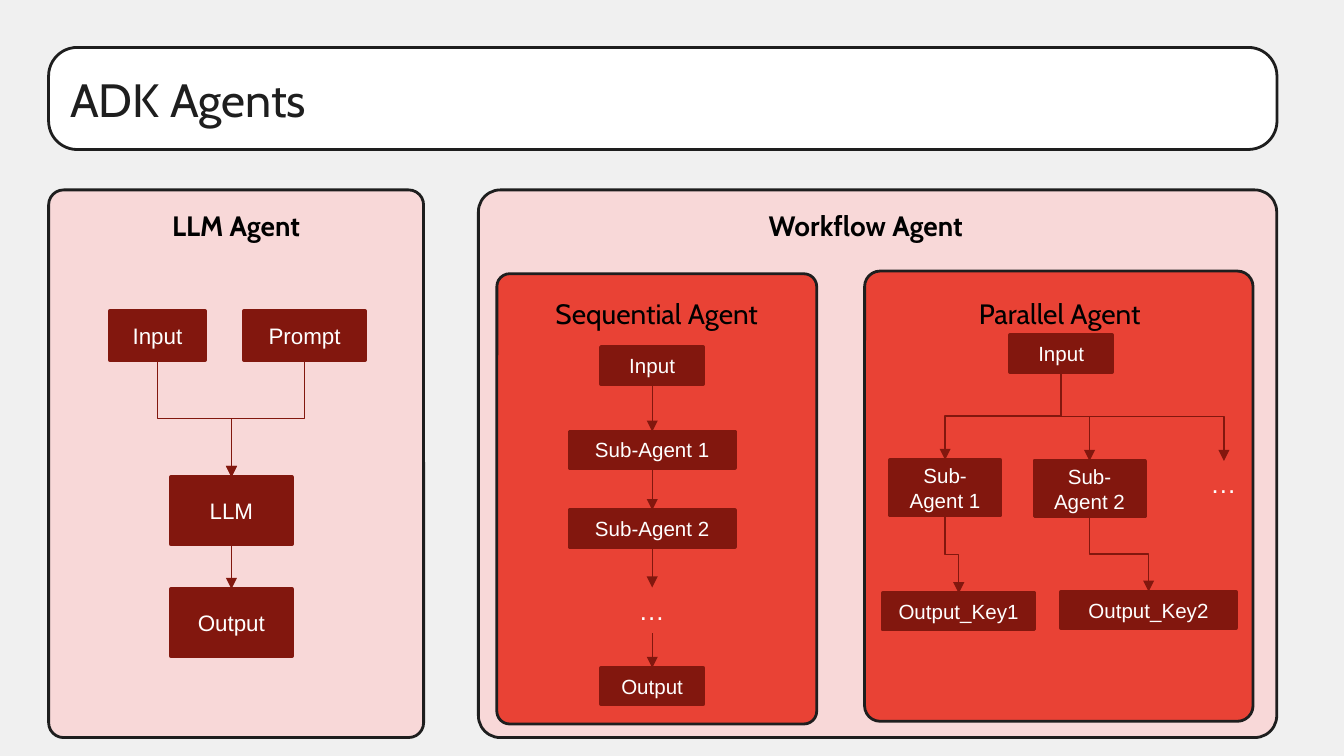
import pptx
import pptx.dml.color
import pptx.enum.shapes
import pptx.enum.text
import pptx.util
import pptx.oxml

SHAPES = pptx.enum.shapes.MSO_SHAPE
CONNECTORS = pptx.enum.shapes.MSO_CONNECTOR
ALIGN = pptx.enum.text.PP_ALIGN
ANCHOR = pptx.enum.text.MSO_ANCHOR

THEME = {
    "background": "F0F0F0",
    "arrow": "82170E",
    "arrow_width": 0.75,
    "title": dict(fill="FFFFFF", line="1E1E1E", width=1.5, corner=0.28,
                  font="Cabin", size=25, color="1E1E1E", align=ALIGN.LEFT, inset=1),
    "panel": dict(fill="F8D8D8", line="1E1E1E", width=1.5, corner=0.04),
    "subpanel": dict(fill="E94235", line="1E1E1E", width=1.5, corner=0.04),
    "heading": dict(font="Cabin", size=15, color="000000", bold=True, inset=1,
                    spacing=1.15, after=12),
    "subheading": dict(font="Cabin", size=15, color="000000", inset=1,
                       spacing=1.15, after=12),
    "step": dict(fill="82170E", line="82170E", width=2,
                 font="Arial", size=12, color="FFFFFF"),
    "substep": dict(fill="82170E", line="82170E", width=2,
                    font="Arial", size=11, color="FFFFFF"),
    "more": dict(font="Arial", size=14, color="FFFFFF", align=ALIGN.LEFT),
}

# The slide is a grid of 100 columns by 56.25 rows of square cells
CELL = pptx.util.Inches(0.1)
rgb = pptx.dml.color.RGBColor.from_string

deck = pptx.Presentation()
deck.slide_width = 100 * CELL
deck.slide_height = int(56.25 * CELL)
slide = deck.slides.add_slide(deck.slide_layouts[6])
slide.background.fill.solid()
slide.background.fill.fore_color.rgb = rgb(THEME["background"])


def add_block(style_name, center, top, columns, rows, text=""):
    """Place a box or a bare label, centred on a column."""
    style = THEME[style_name]
    frame = [int(n * CELL) for n in (center - columns / 2, top, columns, rows)]
    if "fill" in style:
        outline = SHAPES.ROUNDED_RECTANGLE if "corner" in style else SHAPES.RECTANGLE
        block = slide.shapes.add_shape(outline, *frame)
        block.shadow.inherit = False
        block.fill.solid()
        block.fill.fore_color.rgb = rgb(style["fill"])
        block.line.color.rgb = rgb(style["line"])
        block.line.width = pptx.util.Pt(style["width"])
        if "corner" in style:
            block.adjustments[0] = style["corner"]
    else:
        block = slide.shapes.add_textbox(*frame)
    if text:
        body = block.text_frame
        body.word_wrap = True
        body.vertical_anchor = ANCHOR.MIDDLE if "fill" in style else ANCHOR.TOP
        body.margin_left = body.margin_right = CELL
        body.margin_top = body.margin_bottom = int(style.get("inset", 0.5) * CELL)
        paragraph = body.paragraphs[0]
        paragraph.alignment = style.get("align", ALIGN.CENTER)
        if "spacing" in style:
            paragraph.line_spacing = style["spacing"]
            paragraph.space_after = pptx.util.Pt(style["after"])
        run = paragraph.add_run()
        run.text = text
        run.font.name = style["font"]
        run.font.size = pptx.util.Pt(style["size"])
        run.font.bold = style.get("bold", False)
        run.font.color.rgb = rgb(style["color"])
    return block


def add_arrow(source, target):
    """Lead from the bottom of one block down to the top of another."""
    x1, y1 = source.left + source.width // 2, source.top + source.height
    x2, y2 = target.left + target.width // 2, target.top
    if abs(x2 - x1) < CELL / 2:
        arrow = slide.shapes.add_connector(CONNECTORS.STRAIGHT, x1, y1, x2, y2)
    else:
        # An elbow lies on its side, so it is turned a quarter about its middle
        middle_x, middle_y = (x1 + x2) // 2, (y1 + y2) // 2
        half_run, half_drop = abs(x2 - x1) // 2, (y2 - y1) // 2
        turn, reach = (270, -half_drop) if x2 > x1 else (90, half_drop)
        arrow = slide.shapes.add_connector(
            CONNECTORS.ELBOW, middle_x - reach, middle_y - half_run,
            middle_x + reach, middle_y + half_run)
        arrow._element.spPr.xfrm.set("rot", str(turn * 60000))
    arrow.line.color.rgb = rgb(THEME["arrow"])
    arrow.line.width = pptx.util.Pt(THEME["arrow_width"])
    head = pptx.oxml.parse_xml(
        '<a:tailEnd xmlns:a="http://schemas.openxmlformats.org/drawingml/2006/main"'
        ' type="triangle"/>')
    arrow.line._get_or_add_ln().append(head)
    arrow._element.spPr.append(pptx.oxml.parse_xml(
        '<a:effectLst xmlns:a="http://schemas.openxmlformats.org/drawingml/2006/main"/>'))


# Title and the two main panels
add_block("title", 49.32, 3.53, 91.4, 7.6, "ADK Agents")
add_block("panel", 65.3, 14.13, 59.4, 40.75)
add_block("panel", 17.57, 14.13, 27.9, 40.75)
add_block("heading", 17.57, 14.15, 27.9, 4.8, "LLM Agent")
add_block("heading", 64.42, 14.15, 57.7, 4.8, "Workflow Agent")

# Panels inside the workflow agent
add_block("subpanel", 48.87, 20.37, 23.8, 33.5)
add_block("subpanel", 78.78, 20.17, 28.9, 33.5)
add_block("subheading", 48.87, 20.7, 23.8, 4.8, "Sequential Agent")
add_block("subheading", 78.85, 20.7, 28.9, 4.8, "Parallel Agent")

# LLM agent: input and prompt meet at the model
llm_input = add_block("step", 11.72, 23.14, 7.1, 3.64, "Input")
prompt = add_block("step", 22.67, 23.14, 9, 3.64, "Prompt")
llm = add_block("step", 17.22, 35.5, 9, 5, "LLM")
llm_output = add_block("step", 17.22, 43.83, 9, 5, "Output")
for source, target in ((llm_input, llm), (prompt, llm), (llm, llm_output)):
    add_arrow(source, target)

# Sequential agent: one chain from top to bottom
previous = None
for style_name, top, columns, rows, text in (
        ("substep", 25.83, 7.6, 2.74, "Input"),
        ("substep", 32.12, 12.3, 2.7, "Sub-Agent 1"),
        ("substep", 37.96, 12.3, 2.74, "Sub-Agent 2"),
        ("more", 43.72, 4, 3.4, "…"),
        ("substep", 49.7, 7.6, 2.7, "Output")):
    stage = add_block(style_name, 48.53, top, columns, rows, text)
    if previous is not None:
        add_arrow(previous, stage)
    previous = stage

# Parallel agent: one input fans out, each branch writes its own key
parallel_input = add_block("substep", 78.96, 24.94, 7.6, 2.74, "Input")
for number, center, top, key_center, key_top, key_columns in (
        (1, 70.32, 34.22, 71.33, 44.15, 11.3),
        (2, 81.07, 34.3, 85.46, 44.03, 13)):
    branch = add_block("substep", center, top, 8.2, 4.14, f"Sub-Agent {number}")
    key = add_block("substep", key_center, key_top, key_columns, 2.7,
                    f"Output_Key{number}")
    add_arrow(parallel_input, branch)
    add_arrow(branch, key)
add_arrow(parallel_input, add_block("more", 91.07, 34.3, 4, 3.4, "…"))

deck.save("out.pptx")
